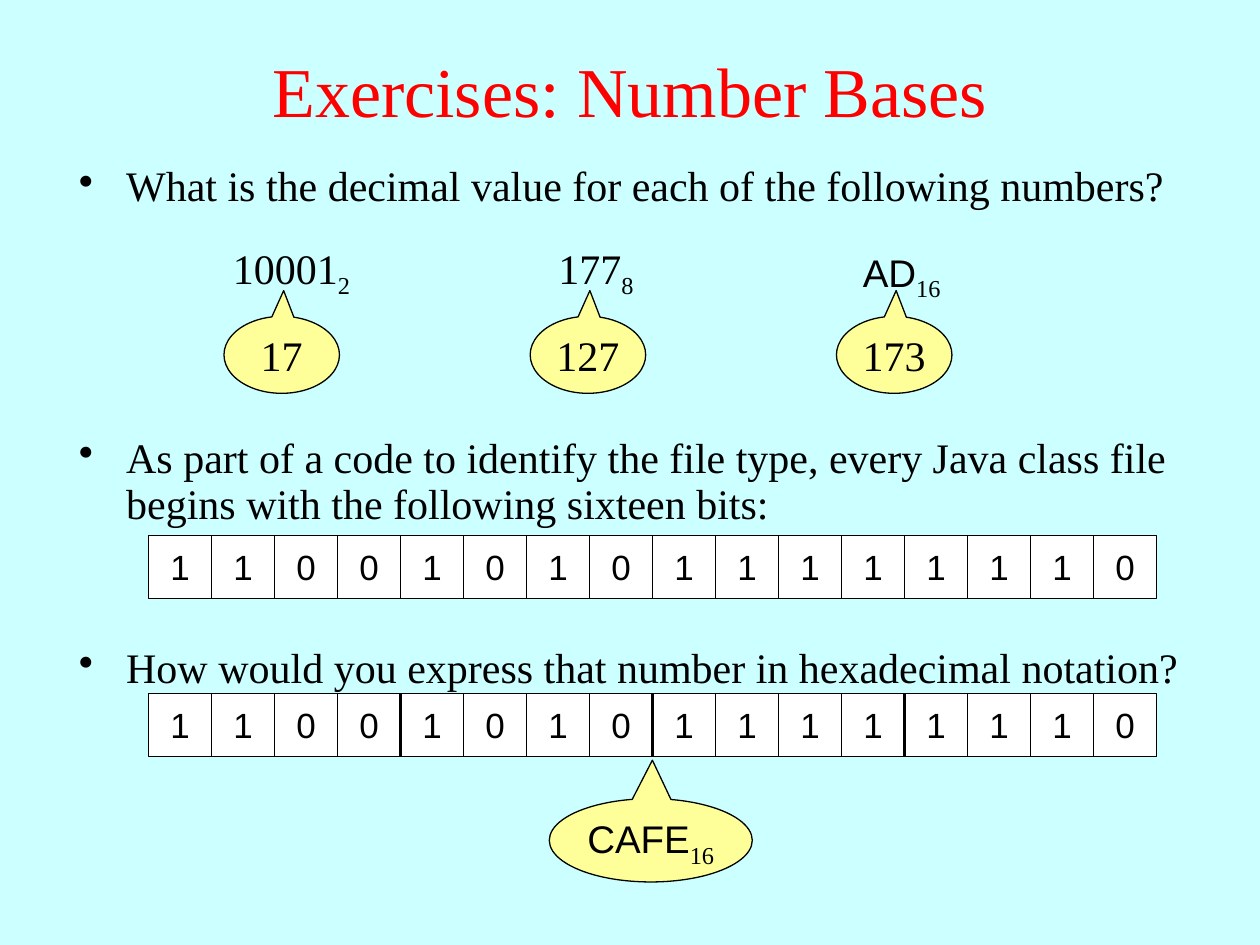
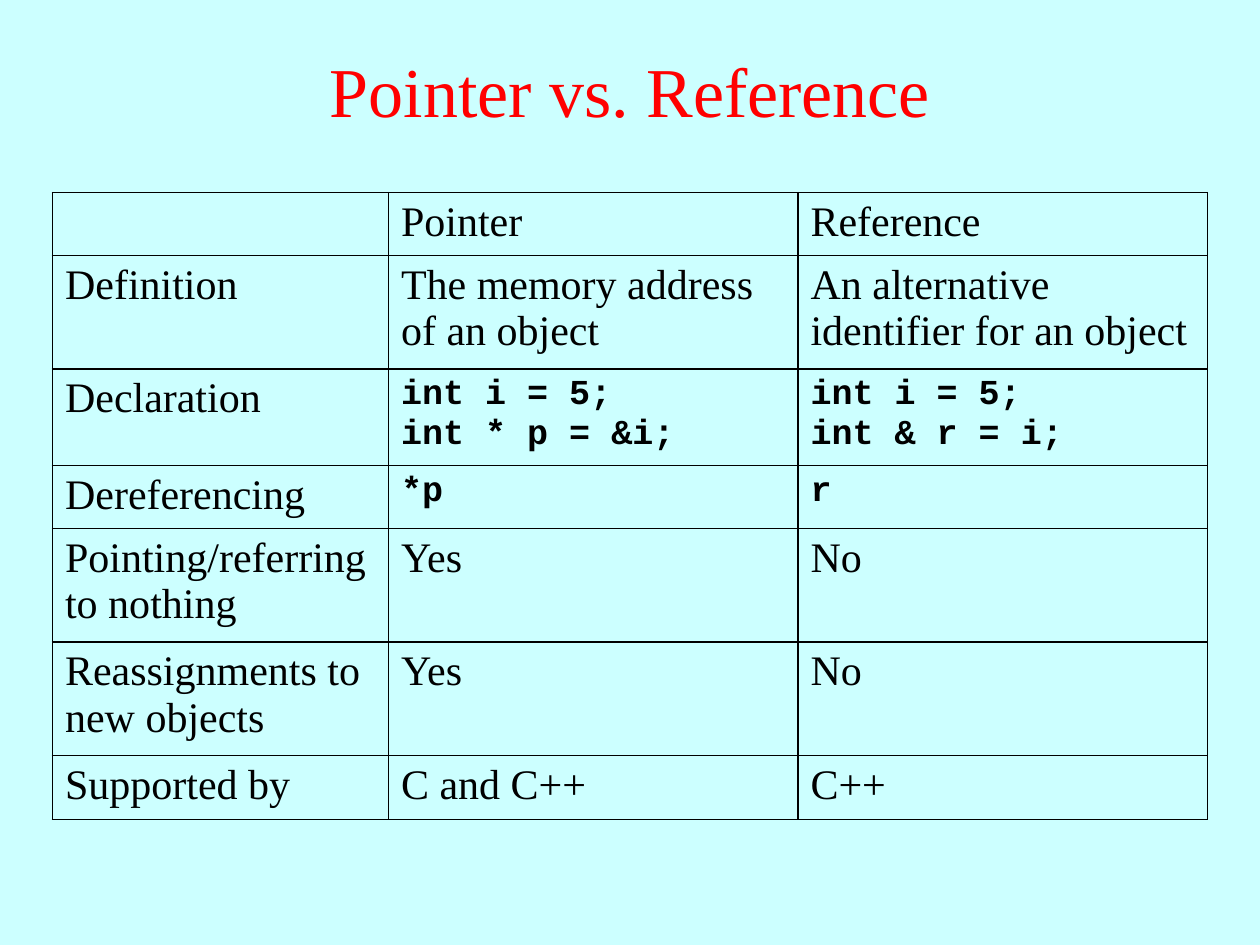
from lxml import etree
from pptx import Presentation
from pptx.dml.color import RGBColor
from pptx.enum.shapes import MSO_CONNECTOR, MSO_SHAPE
from pptx.enum.text import MSO_ANCHOR, PP_ALIGN
from pptx.oxml.ns import qn
from pptx.util import Pt

RECTANGLE = MSO_SHAPE.RECTANGLE
CALLOUT = MSO_SHAPE.OVAL_CALLOUT
STRAIGHT = MSO_CONNECTOR.STRAIGHT
LEFT, CENTER = PP_ALIGN.LEFT, PP_ALIGN.CENTER
TOP, MIDDLE = MSO_ANCHOR.TOP, MSO_ANCHOR.MIDDLE

# Shared look
COLORS = {
    "background": "CCFFFF",
    "title": "FF0000",
    "ink": "000000",
    "bit": "FFFFFF",
    "answer": "FFFF99",
}
SERIF, SANS, MONO = "Times New Roman", "Arial", "Courier New"
SLIDE_WIDTH, SLIDE_HEIGHT = 720, 540
TITLE_BOX = (0, 6, SLIDE_WIDTH, 90)

# Slide 1 content
EXERCISES_TITLE = "Exercises: Number Bases"
QUESTIONS_BOX = (38, 90.7, 648, 297)
QUESTION_LINE = 30.6
QUESTIONS = [  # text, lines left free above it
    ("What is the decimal value for each of the following numbers?", 0),
    ("As part of a code to identify the file type, every Java class file "
     "begins with the following sixteen bits:", 4),
    ("How would you express that number in hexadecimal notation?", 2),
]
NUMBERS = [  # digits, base, font, size, box
    ("10001", "2", SERIF, 24, (126, 135, 126, 36)),
    ("177", "8", SERIF, 24, (312, 135, 60, 36)),
    ("AD", "16", SANS, 22, (486, 136.5, 72, 36)),
]
DECIMALS = ["17", "127", "173"]
DECIMAL_LEFT, DECIMAL_TOP, DECIMAL_STEP = 128, 180.8, 175
DECIMAL_SIZE = (66, 44)
BITS = "1100101011111110"
BIT_LEFT, BIT_SIZE = 84.9, 36
PLAIN_ROW_TOP, NIBBLE_ROW_TOP = 306, 396.2
NIBBLE = 4
HEX_ANSWER = ("CAFE", "16")
HEX_BOX = (313.9, 456.4, 116, 47.6)

# Slide 2 content
COMPARISON_TITLE = "Pointer vs. Reference"
COMPARISON = [
    ("", "Pointer", "Reference"),
    ("Definition", "The memory address of an object",
     "An alternative identifier for an object"),
    ("Declaration", "int i = 5;\nint * p = &i;", "int i = 5;\nint & r = i;"),
    ("Dereferencing", "*p", "r"),
    ("Pointing/referring to nothing", "Yes", "No"),
    ("Reassignments to new objects", "Yes", "No"),
    ("Supported by", "C and C++", "C++"),
]
CODE_ROWS = ("Declaration", "Dereferencing")
TABLE_LEFT, TABLE_TOP = 30, 110
COLUMN_WIDTHS = [192, 234, 234]
ROW_HEIGHTS = [33.8, 60.4, 52.6, 33.8, 60.4, 60.4, 36.5]


def color(name):
    return RGBColor.from_string(COLORS[name])


def points(*lengths):
    return [Pt(length) for length in lengths]


def add_bullet(paragraph):
    properties = paragraph._p.get_or_add_pPr()
    properties.set("marL", str(Pt(27)))
    properties.set("indent", str(-Pt(27)))
    etree.SubElement(properties, qn("a:buChar")).set("char", "•")


def write(frame, text, subscript="", font=SERIF, size=24, ink="ink", bold=False,
          align=LEFT, anchor=TOP, wrap=True):
    """Fill a text frame, one paragraph a line, with an optional subscript."""
    frame.word_wrap = wrap
    frame.vertical_anchor = anchor
    for index, line in enumerate(text.split("\n")):
        paragraph = frame.add_paragraph() if index else frame.paragraphs[0]
        paragraph.alignment = align
        for part, name, height in ((line, font, size), (subscript, SERIF, 24)):
            if not part:
                continue
            run = paragraph.add_run()
            run.text = part
            run.font.name = name
            run.font.size = Pt(height)
            run.font.bold = bold
            run.font.color.rgb = color(ink)
            if part is subscript:
                run.font._element.set("baseline", "-25000")


def add_label(slide, box, text, **text_format):
    shape = slide.shapes.add_textbox(*points(*box))
    write(shape.text_frame, text, **text_format)
    return shape


def add_filled(slide, kind, box, fill, text, **text_format):
    shape = slide.shapes.add_shape(kind, *points(*box))
    shape.shadow.inherit = False
    shape.fill.solid()
    shape.fill.fore_color.rgb = color(fill)
    shape.line.color.rgb = color("ink")
    shape.line.width = Pt(0.75)
    write(shape.text_frame, text, align=CENTER, anchor=MIDDLE, wrap=False,
          **text_format)
    return shape


def add_answer(slide, box, tip, text, **text_format):
    callout = add_filled(slide, CALLOUT, box, "answer", text, **text_format)
    callout.adjustments[0], callout.adjustments[1] = tip


def add_bit_row(slide, top):
    for index, bit in enumerate(BITS):
        box = (BIT_LEFT + index * BIT_SIZE, top, BIT_SIZE, BIT_SIZE)
        add_filled(slide, RECTANGLE, box, "bit", bit, font=SANS, size=20)


def add_nibble_lines(slide, top):
    for index in range(NIBBLE, len(BITS), NIBBLE):
        x = BIT_LEFT + index * BIT_SIZE
        line = slide.shapes.add_connector(
            STRAIGHT, *points(x, top, x, top + BIT_SIZE + 0.5))
        line.line.color.rgb = color("ink")
        line.line.width = Pt(1.75)
        etree.SubElement(line._element.spPr, qn("a:effectLst"))


def add_questions(slide):
    frame = slide.shapes.add_textbox(*points(*QUESTIONS_BOX)).text_frame
    frame.word_wrap = True
    for index, (question, free_lines) in enumerate(QUESTIONS):
        paragraph = frame.add_paragraph() if index else frame.paragraphs[0]
        add_bullet(paragraph)
        paragraph.line_spacing = 0.925
        paragraph.space_after = Pt(6)
        if free_lines:
            paragraph.space_before = Pt(free_lines * QUESTION_LINE)
        run = paragraph.add_run()
        run.text = question
        run.font.name = SERIF
        run.font.size = Pt(24)
        run.font.color.rgb = color("ink")


def add_borders(cell):
    properties = cell._tc.get_or_add_tcPr()
    for index, side in enumerate(("lnL", "lnR", "lnT", "lnB")):
        line = etree.Element(qn(f"a:{side}"), w=str(Pt(1)))
        fill = etree.SubElement(line, qn("a:solidFill"))
        etree.SubElement(fill, qn("a:srgbClr")).set("val", COLORS["ink"])
        properties.insert(index, line)


def add_comparison(slide):
    table = slide.shapes.add_table(
        len(COMPARISON), len(COLUMN_WIDTHS),
        *points(TABLE_LEFT, TABLE_TOP, sum(COLUMN_WIDTHS), sum(ROW_HEIGHTS)),
    ).table
    table.first_row = table.horz_banding = False
    for column, width in zip(table.columns, COLUMN_WIDTHS):
        column.width = Pt(width)
    for row, height, texts in zip(table.rows, ROW_HEIGHTS, COMPARISON):
        row.height = Pt(height)
        for index, (cell, text) in enumerate(zip(row.cells, texts)):
            cell.fill.background()
            add_borders(cell)
            is_code = index > 0 and texts[0] in CODE_ROWS
            code_format = {"font": MONO, "size": 20, "bold": True}
            write(cell.text_frame, text, **(code_format if is_code else {}))


def add_slide(presentation, title):
    slide = presentation.slides.add_slide(presentation.slide_layouts[6])
    slide.background.fill.solid()
    slide.background.fill.fore_color.rgb = color("background")
    add_label(slide, TITLE_BOX, title, size=40, ink="title", align=CENTER,
              anchor=MIDDLE)
    return slide


def build_exercises(presentation):
    slide = add_slide(presentation, EXERCISES_TITLE)
    add_questions(slide)
    # Numbers and their decimal values
    for digits, base, font, size, box in NUMBERS:
        add_label(slide, box, digits, subscript=base, font=font, size=size)
    for index, value in enumerate(DECIMALS):
        left = DECIMAL_LEFT + index * DECIMAL_STEP
        add_answer(slide, (left, DECIMAL_TOP, *DECIMAL_SIZE), (0.017, -0.835),
                   value)
    # Sixteen bits, plain and split into nibbles
    add_bit_row(slide, PLAIN_ROW_TOP)
    digits, base = HEX_ANSWER
    add_answer(slide, HEX_BOX, (0.008, -0.963), digits, subscript=base,
               font=SANS, size=22)
    add_bit_row(slide, NIBBLE_ROW_TOP)
    add_nibble_lines(slide, NIBBLE_ROW_TOP)


def main():
    presentation = Presentation()
    presentation.slide_width = Pt(SLIDE_WIDTH)
    presentation.slide_height = Pt(SLIDE_HEIGHT)
    build_exercises(presentation)
    add_comparison(add_slide(presentation, COMPARISON_TITLE))
    presentation.save("out.pptx")


if __name__ == "__main__":
    main()
